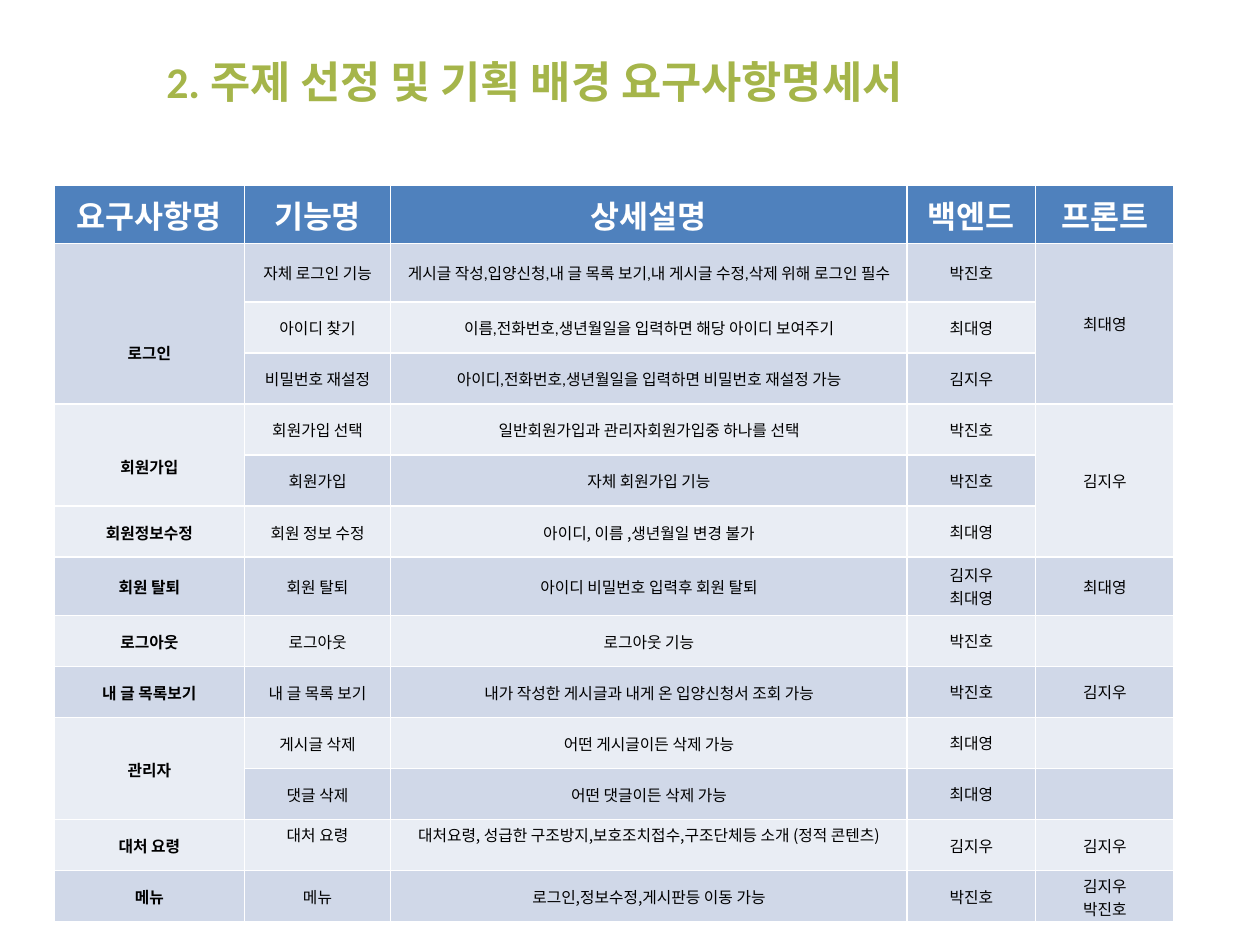
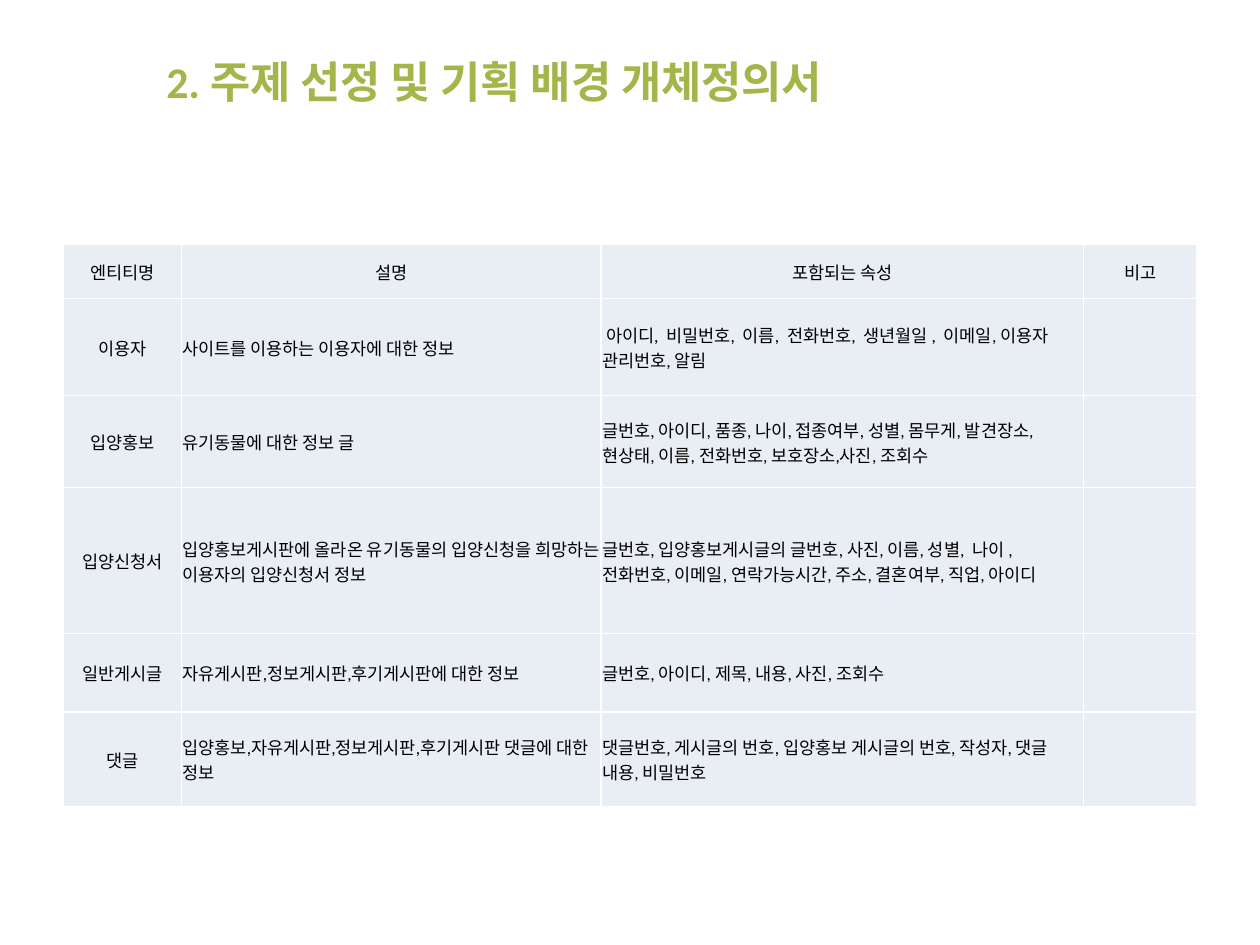
"""Build the requirement list and the entity definition slides."""
import pptx
import pptx.dml.color
import pptx.enum.text
import pptx.util

COLORS = {"title": "A5B54A", "header": "4F81BD", "header_text": "FFFFFF",
          "dark_band": "D0D8E8", "light_band": "E9EDF4", "text": "000000"}
LATIN, KOREAN = "Calibri", "Noto Sans CJK KR"
SECTION = "2. 주제 선정 및 기획 배경"
WIDTH, HEIGHT = 10, 7.5
WIDE_INSETS = (0.1, 0.05, 0.1, 0.05)
THIN_INSETS = (0.01, 0.01, 0.01, 0)
CENTER, LEFT = pptx.enum.text.PP_ALIGN.CENTER, pptx.enum.text.PP_ALIGN.LEFT

# None continues the cell above
REQUIREMENTS = [
    ("요구사항명", "기능명", "상세설명", "백엔드", "프론트"),
    ("로그인", "자체 로그인 기능", "게시글 작성,입양신청,내 글 목록 보기,내 게시글 수정,삭제 위해 로그인 필수", "박진호", "최대영"),
    (None, "아이디 찾기", "이름,전화번호,생년월일을 입력하면 해당 아이디 보여주기", "최대영", None),
    (None, "비밀번호 재설정", "아이디,전화번호,생년월일을 입력하면 비밀번호 재설정 가능", "김지우", None),
    ("회원가입", "회원가입 선택", "일반회원가입과 관리자회원가입중 하나를 선택", "박진호", "김지우"),
    (None, "회원가입", "자체 회원가입 기능", "박진호", None),
    ("회원정보수정", "회원 정보 수정", "아이디, 이름 ,생년월일 변경 불가", "최대영", None),
    ("회원 탈퇴", "회원 탈퇴", "아이디 비밀번호 입력후 회원 탈퇴", "김지우\n최대영", "최대영"),
    ("로그아웃", "로그아웃", "로그아웃 기능", "박진호", ""),
    ("내 글 목록보기", "내 글 목록 보기", "내가 작성한 게시글과 내게 온 입양신청서 조회 가능", "박진호", "김지우"),
    ("관리자", "게시글 삭제", "어떤 게시글이든 삭제 가능", "최대영", ""),
    (None, "댓글 삭제", "어떤 댓글이든 삭제 가능", "최대영", ""),
    ("대처 요령", "대처 요령", "대처요령, 성급한 구조방지,보호조치접수,구조단체등 소개 (정적 콘텐츠)", "김지우", "김지우"),
    ("메뉴", "메뉴", "로그인,정보수정,게시판등 이동 가능", "박진호", "김지우\n박진호"),
]
REQUIREMENT_COLUMNS = (1.51, 1.16, 4.1, 1.02, 1.1)
REQUIREMENT_ROWS = [0.46] + [5.27 / 13] * 13
LOWERED = {(1, 0): 0.46, (4, 0): 0.18}
RAISED = {(12, 1): 0.17, (12, 2): 0.17}

ENTITIES = [
    ("엔티티명", "설명", "포함되는 속성", "비고"),
    ("이용자", "사이트를 이용하는 이용자에 대한 정보",
     " 아이디,  비밀번호,  이름,  전화번호,  생년월일 ,  이메일, 이용자 관리번호, 알림", ""),
    ("입양홍보", "유기동물에 대한 정보 글",
     "글번호, 아이디, 품종, 나이, 접종여부, 성별, 몸무게, 발견장소, 현상태, 이름, 전화번호, 보호장소,사진, 조회수", ""),
    ("입양신청서", "입양홍보게시판에 올라온 유기동물의 입양신청을 희망하는 이용자의 입양신청서 정보",
     "글번호, 입양홍보게시글의 글번호, 사진, 이름, 성별,  나이 ,  전화번호, 이메일, 연락가능시간, 주소, 결혼여부, 직업, 아이디", ""),
    ("일반게시글", "자유게시판,정보게시판,후기게시판에 대한 정보", "글번호, 아이디, 제목, 내용, 사진, 조회수", ""),
    ("댓글", "입양홍보,자유게시판,정보게시판,후기게시판 댓글에 대한 정보",
     "댓글번호, 게시글의 번호, 입양홍보 게시글의 번호, 작성자, 댓글 내용, 비밀번호", ""),
]
ENTITY_COLUMNS = (0.94, 3.33, 3.83, 0.9)
ENTITY_ROWS = (0.43, 0.77, 0.73, 1.16, 0.62, 0.75)


def set_font(paragraph, size, color, bold=False, name=LATIN):
    font = paragraph.font
    font.size, font.bold, font.name = pptx.util.Pt(size), bold, name
    font.color.rgb = pptx.dml.color.RGBColor.from_string(COLORS[color])


def requirement_style(row, column):
    if row == 0:
        return dict(fill="header", size=18, color="header_text", bold=True)
    thin = (row >= 4 and column < 3) or row >= 12
    left, top, right, bottom = THIN_INSETS if thin else WIDE_INSETS
    spans_dark = (row, column) == (1, 0)
    return dict(fill="dark_band" if row % 2 or spans_dark else "light_band",
                size=9, bold=column == 0, name=KOREAN if thin else LATIN,
                insets=(left, top + LOWERED.get((row, column), 0),
                        right, bottom + RAISED.get((row, column), 0)))


def entity_style(row, column):
    return dict(fill="light_band", size=10, insets=THIN_INSETS,
                align=LEFT if row and column in (1, 2) else CENTER)


def fill_cell(cell, text, fill, size, color="text", bold=False, name=LATIN,
              insets=WIDE_INSETS, align=CENTER):
    cell.fill.solid()
    cell.fill.fore_color.rgb = pptx.dml.color.RGBColor.from_string(COLORS[fill])
    cell.vertical_anchor = pptx.enum.text.MSO_ANCHOR.MIDDLE
    cell.margin_left, cell.margin_top, cell.margin_right, cell.margin_bottom = map(
        pptx.util.Inches, insets)
    cell.text = text
    for paragraph in cell.text_frame.paragraphs:
        paragraph.alignment = align
        set_font(paragraph, size, color, bold, name)


def add_grid(slide, records, left, top, widths, heights, style, header_row):
    grid = slide.shapes.add_table(
        len(records), len(widths),
        *map(pptx.util.Inches, (left, top, sum(widths), sum(heights)))).table
    grid.first_row, grid.horz_banding = header_row, False
    for column, width in zip(grid.columns, widths):
        column.width = pptx.util.Inches(width)
    for row, height in zip(grid.rows, heights):
        row.height = pptx.util.Inches(height)
    for r, record in enumerate(records):
        for c, text in enumerate(record):
            fill_cell(grid.cell(r, c), text or "", **style(r, c))
    for c in range(len(widths)):
        starts = [r for r, record in enumerate(records) if record[c] is not None]
        for start, following in zip(starts, starts[1:] + [len(records)]):
            if following - start > 1:
                grid.cell(start, c).merge(grid.cell(following - 1, c))


def add_titled_slide(deck, topic):
    slide = deck.slides.add_slide(deck.slide_layouts[5])
    title = slide.shapes.title
    title.left, title.top, title.width, title.height = map(
        pptx.util.Inches, (1.22, 0.25, 8.28, 0.79))
    title.text_frame.text = f"{SECTION} {topic}"
    title.text_frame.vertical_anchor = pptx.enum.text.MSO_ANCHOR.MIDDLE
    heading = title.text_frame.paragraphs[0]
    heading.alignment = LEFT
    set_font(heading, 25, "title", bold=True)
    return slide


def main():
    deck = pptx.Presentation()
    deck.slide_width, deck.slide_height = pptx.util.Inches(WIDTH), pptx.util.Inches(HEIGHT)
    add_grid(add_titled_slide(deck, "요구사항명세서"), REQUIREMENTS, 0.43, 1.47,
             REQUIREMENT_COLUMNS, REQUIREMENT_ROWS, requirement_style, True)
    add_grid(add_titled_slide(deck, "개체정의서"), ENTITIES, 0.5, 1.94,
             ENTITY_COLUMNS, ENTITY_ROWS, entity_style, False)
    deck.save("out.pptx")


if __name__ == "__main__":
    main()
